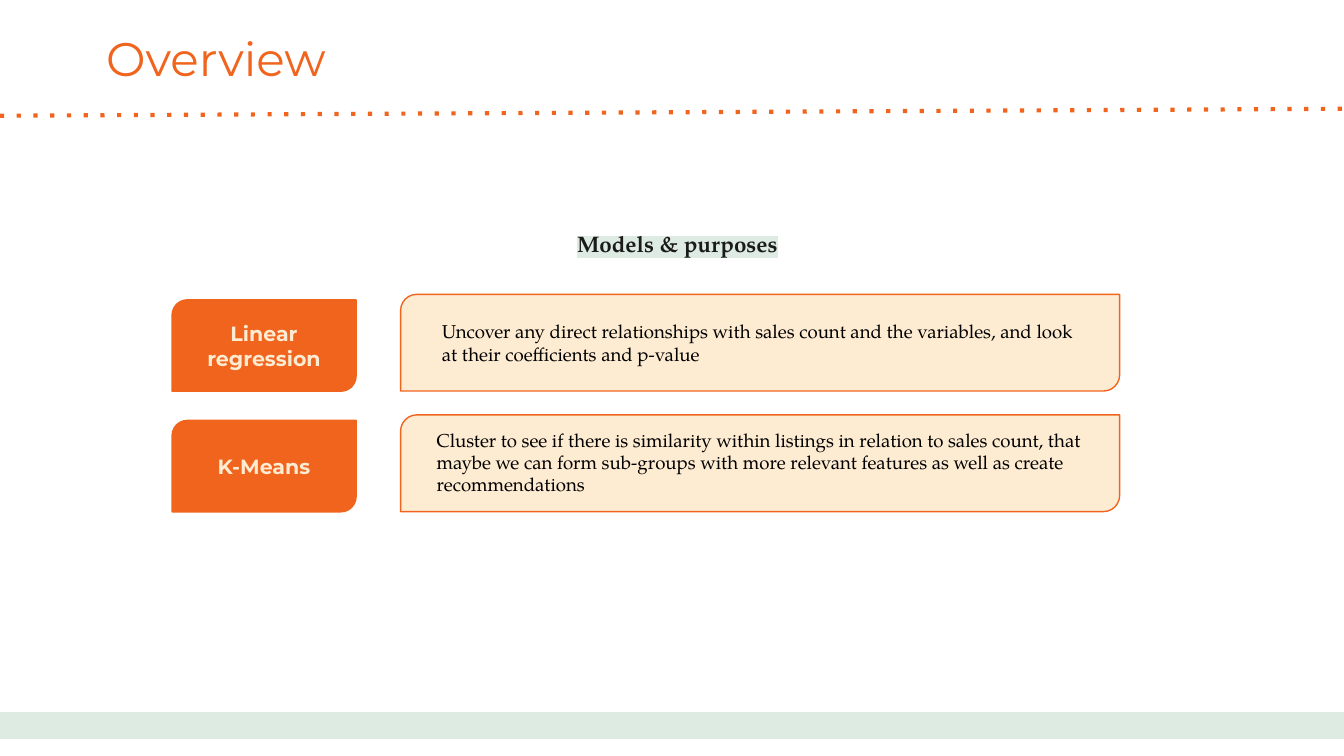
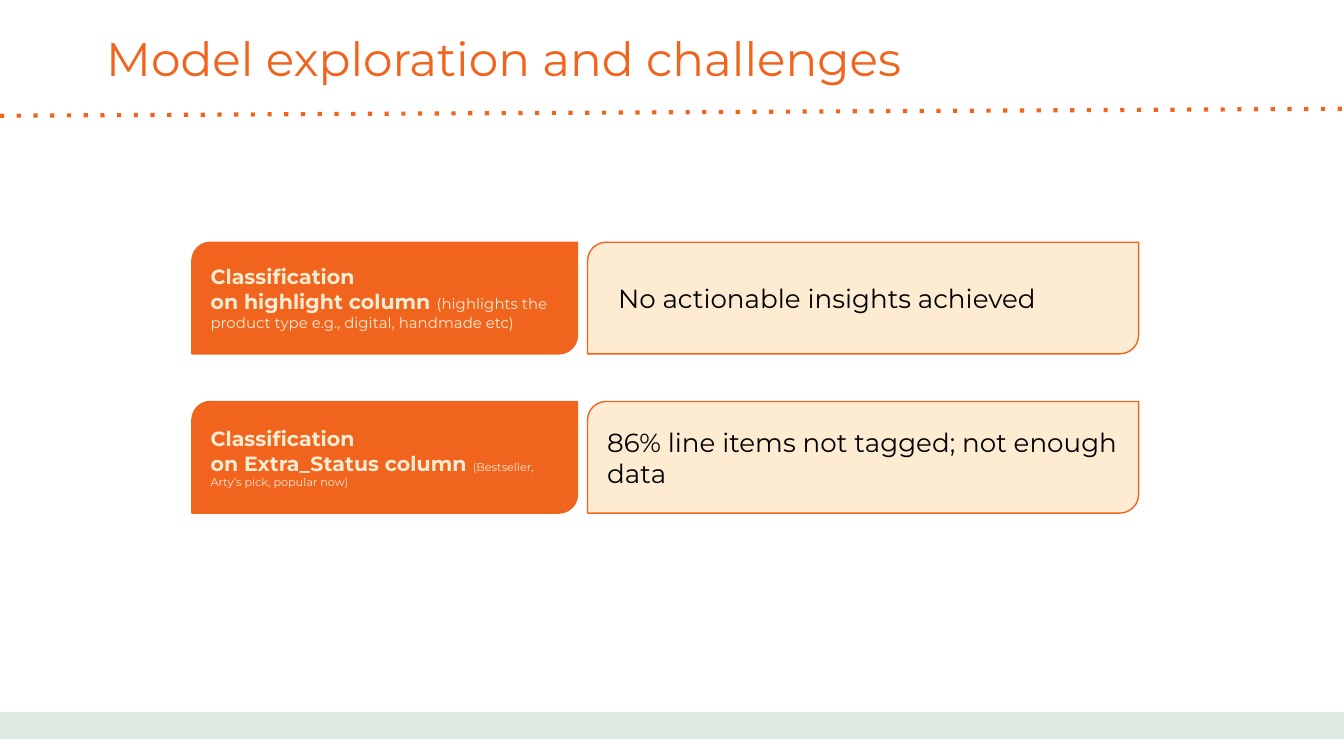
from lxml.etree import SubElement
from pptx import Presentation
from pptx.dml.color import RGBColor
from pptx.enum.shapes import MSO_CONNECTOR, MSO_SHAPE
from pptx.enum.text import MSO_ANCHOR, MSO_AUTO_SIZE, PP_ALIGN
from pptx.oxml.ns import qn
from pptx.util import Pt

rgb = RGBColor.from_string
ORANGE, CREAM, MINT = "F1641E", "FDEBD2", "DDEBE3"
BLACK, INK = "000000", "1A1A1A"
SANS, SERIF = "Montserrat", "TeX Gyre Pagella"
INSET = Pt(7.2)
LEFT, CENTER = PP_ALIGN.LEFT, PP_ALIGN.CENTER


def add_box(s, kind, at, fill, line, weight):
    sp = s.shapes.add_shape(kind, *map(Pt, at))
    sp.shadow.inherit = False
    sp.fill.solid()
    sp.fill.fore_color.rgb = rgb(fill)
    sp.line.color.rgb = rgb(line)
    sp.line.width = Pt(weight)
    return sp


def write(tf, lines, font, color, align=LEFT, anchor=MSO_ANCHOR.TOP):
    tf.word_wrap = True
    tf.auto_size = MSO_AUTO_SIZE.NONE
    tf.vertical_anchor = anchor
    tf.margin_left = tf.margin_right = tf.margin_top = tf.margin_bottom = INSET
    for i, line in enumerate(lines):
        p = tf.add_paragraph() if i else tf.paragraphs[0]
        p.alignment = align
        for text, size, bold in line:
            r = p.add_run()
            r.text = text
            r.font.name = font
            r.font.size = Pt(size)
            r.font.bold = bold
            r.font.color.rgb = rgb(color)


slides = [
    {
        "title": "Overview",
        "label": (92.2, 160.6, 98.6, 49),
        "card": (214.6, 157.7, 385.2, 51.8),
        "pitch": 64.6,
        "align": CENTER,
        "font": SERIF,
        "size": 10,
        "rows": [
            ([[("Linear regression", 11, True)]],
             "Uncover any direct relationships with sales count and the variables, "
             "and look at their coefficients and p-value",
             (229.7, 164.2, 360.7, 38.9)),
            ([[("K-Means", 11, True)]],
             "Cluster to see if there is similarity within listings in relation to "
             "sales count, that maybe we can form sub-groups with more relevant "
             "features as well as create recommendations",
             (226.8, 222.3, 360.7, 51.1)),
        ],
    },
    {
        "title": "Model exploration and challenges",
        "label": (102.8, 129.8, 206.6, 59.8),
        "card": (314.8, 129.8, 295.2, 59.8),
        "pitch": 85.3,
        "align": LEFT,
        "font": SANS,
        "size": 14,
        "rows": [
            ([[("Classification", 11, True)],
              [("on highlight column ", 11, True),
               ("(highlights the product type e.g., digital, handmade etc)", 8, False)]],
             "No actionable insights achieved",
             (324, 144, 286.6, 31.7)),
            ([[("Classification", 11, True)],
              [("on Extra_Status column ", 11, True),
               ("(Bestseller, Arty’s pick, popular now)", 6, False)]],
             "86% line items not tagged; not enough data",
             (318.2, 221, 288.7, 48.2)),
        ],
    },
]

prs = Presentation()
prs.slide_width, prs.slide_height = Pt(720), Pt(405)

for data in slides:
    s = prs.slides.add_slide(prs.slide_layouts[5])

    rule = s.shapes.add_connector(MSO_CONNECTOR.STRAIGHT, Pt(0), Pt(62), Pt(720), Pt(58.3))
    rule.line.color.rgb = rgb(ORANGE)
    rule.line.width = Pt(2.25)
    props = rule._element.spPr
    SubElement(props.find(qn("a:ln")), qn("a:prstDash"), val="dot")
    SubElement(props, qn("a:effectLst"))
    add_box(s, MSO_SHAPE.RECTANGLE, (0, 382.4, 720, 12.2), MINT, MINT, 2.25)

    title = s.shapes.title
    title.left, title.top, title.width, title.height = map(Pt, (49.7, 8.6, 671, 45.4))
    write(title.text_frame, [[(data["title"], 25.2, False)]], SANS, ORANGE)

    for i, (label, text, text_at) in enumerate(data["rows"]):
        for part, fill in (("card", CREAM), ("label", ORANGE)):
            x, y, w, h = data[part]
            sp = add_box(s, MSO_SHAPE.ROUND_2_DIAG_RECTANGLE,
                         (x, y + i * data["pitch"], w, h), fill, ORANGE, 0.75)
        write(sp.text_frame, label, SANS, CREAM, data["align"], MSO_ANCHOR.MIDDLE)
        tb = s.shapes.add_textbox(*map(Pt, text_at))
        write(tb.text_frame, [[(text, data["size"], False)]], data["font"], BLACK)

heading = prs.slides[0].shapes.add_textbox(Pt(218.2), Pt(115.9), Pt(289.4), Pt(28.8))
write(heading.text_frame, [[("Models & purposes", 12, True)]], SERIF, INK, CENTER)
p = heading.text_frame.paragraphs[0]
p.space_after = Pt(12)
fill = p.runs[0]._r.rPr.find(qn("a:solidFill"))
highlight = SubElement(fill.getparent(), qn("a:highlight"))
SubElement(highlight, qn("a:srgbClr"), val=MINT)
fill.addnext(highlight)

prs.save("out.pptx")
